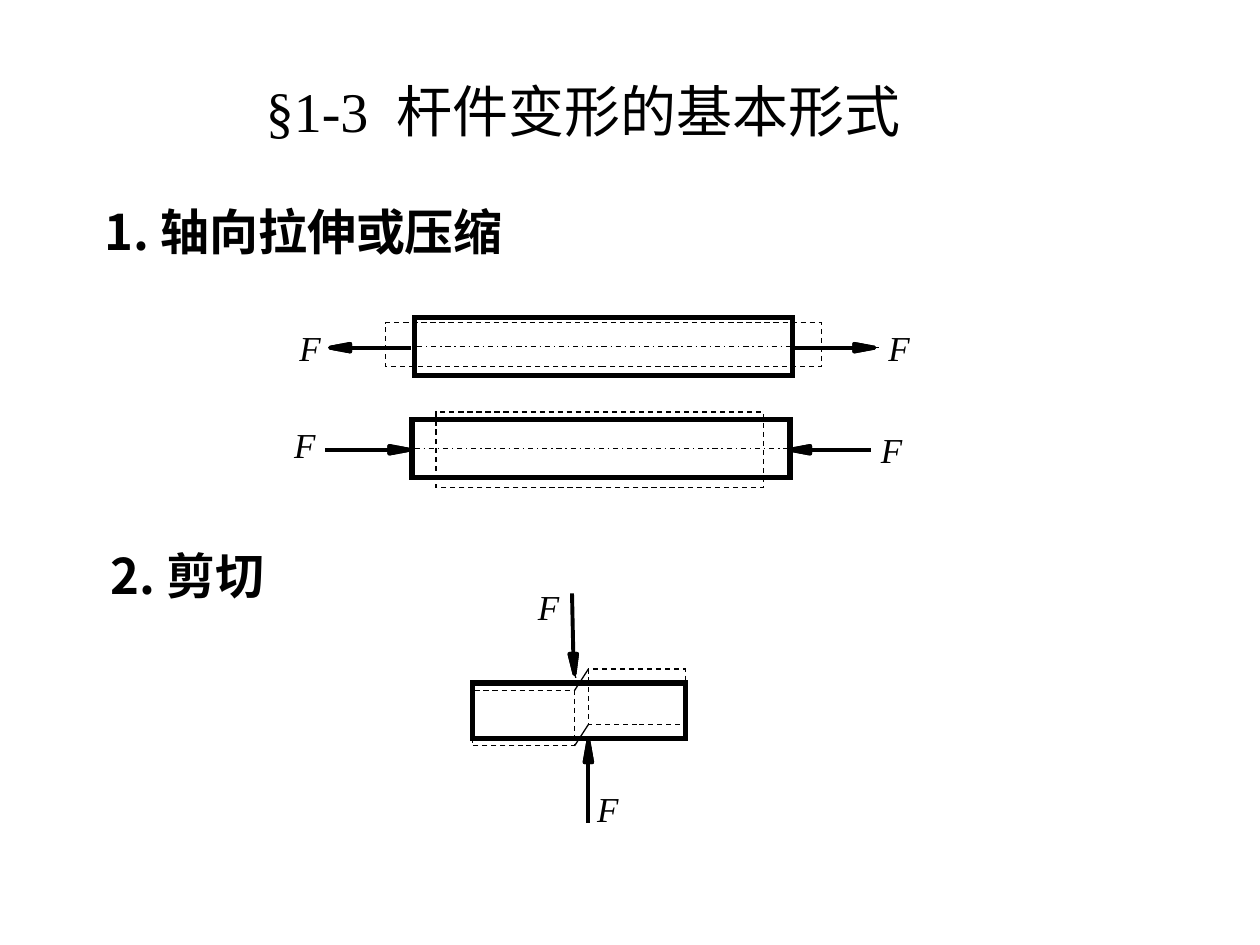
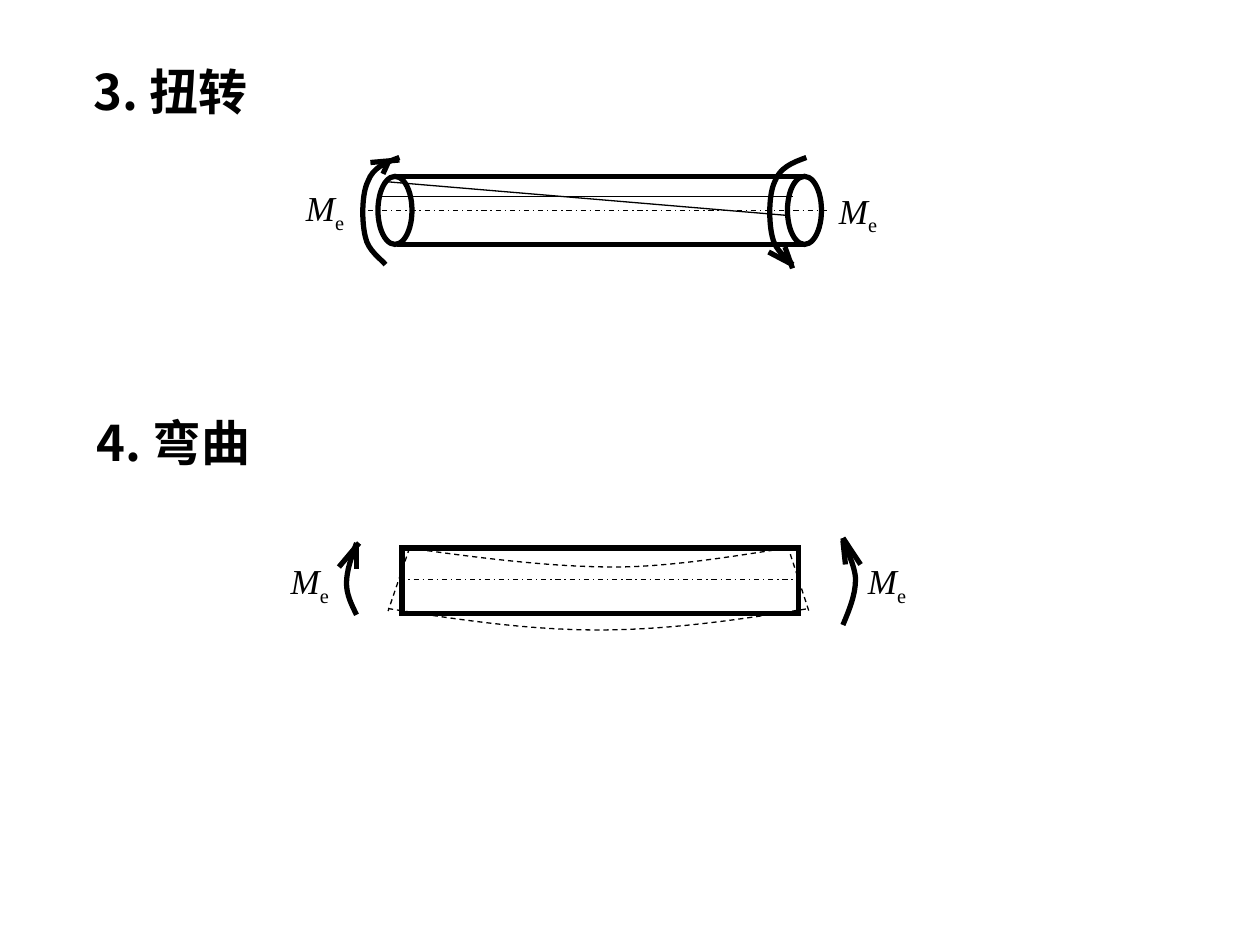
from dataclasses import dataclass

import pptx
import pptx.dml.color
import pptx.dml.line
import pptx.enum.dml
import pptx.enum.shapes
import pptx.enum.text
import pptx.oxml
import pptx.oxml.ns
import pptx.shapes.autoshape
import pptx.slide
import pptx.text.text
import pptx.util
from pptx.util import Inches

INK = "000000"
PAPER = "FFFFFF"
LATIN = "Times New Roman"
HAN = "Noto Sans CJK SC"
RECT = pptx.enum.shapes.MSO_SHAPE.RECTANGLE
OVAL = pptx.enum.shapes.MSO_SHAPE.OVAL
RIGHT = 3
Point = tuple[float, float]


@dataclass
class Box:
    left: float
    top: float
    width: float
    height: float


@dataclass
class Stroke:
    width: float = 0.75
    dash: pptx.enum.dml.MSO_LINE | None = None


@dataclass
class Force:
    """An arrow whose shaft runs from tail to neck and whose head ends at tip."""
    tail: Point
    neck: Point
    tip: Point


SOLID, PUSH, BOLD = Stroke(), Stroke(2.25), Stroke(3)
GHOST = Stroke(dash=pptx.enum.dml.MSO_LINE.DASH)
CENTRE = Stroke(dash=pptx.enum.dml.MSO_LINE.DASH_DOT)


def color(code: str) -> pptx.dml.color.RGBColor:
    return pptx.dml.color.RGBColor.from_string(code)


def tag(name: str, **attrs: str):
    """Make an empty DrawingML element."""
    node = pptx.oxml.parse_xml(f'<a:{name} {pptx.oxml.ns.nsdecls("a")}/>')
    for key, value in attrs.items():
        node.set(key, value)
    return node


def ink(line: pptx.dml.line.LineFormat, stroke: Stroke) -> None:
    line.color.rgb = color(INK)
    line.width = pptx.util.Pt(stroke.width)
    if stroke.dash is not None:
        line.dash_style = stroke.dash


def place(shape, box: Box) -> None:
    shape.left, shape.top = Inches(box.left), Inches(box.top)
    shape.width, shape.height = Inches(box.width), Inches(box.height)


def paint(shape, stroke: Stroke, fill: str = "") -> None:
    shape.shadow.inherit = False
    if fill:
        shape.fill.solid()
        shape.fill.fore_color.rgb = color(fill)
    else:
        shape.fill.background()
    ink(shape.line, stroke)


def write(shape, text: str, size: float, latin: str, bold: bool = False,
          center: bool = True) -> pptx.text.text._Paragraph:
    """Fill a text shape with one formatted paragraph and return it."""
    frame = shape.text_frame
    frame.word_wrap = True
    frame.auto_size = pptx.enum.text.MSO_AUTO_SIZE.NONE
    frame.vertical_anchor = pptx.enum.text.MSO_ANCHOR.MIDDLE
    frame.margin_left = frame.margin_right = Inches(0.1)
    frame.margin_top = frame.margin_bottom = Inches(0.05)
    para = frame.paragraphs[0]
    para.add_run().text = text
    align = pptx.enum.text.PP_ALIGN
    para.alignment = align.CENTER if center else align.LEFT
    font = para.font
    font.size = pptx.util.Pt(size)
    font.bold = bold
    font.color.rgb = color(INK)
    font.name = latin
    font._element.find(pptx.oxml.ns.qn("a:latin")).addnext(
        tag("ea", typeface=HAN))
    return para


def head(slide: pptx.slide.Slide, text: str, box: Box) -> None:
    shape = slide.shapes.add_textbox(0, 0, 0, 0)
    place(shape, box)
    write(shape, text, 28, HAN, bold=True)


def label(slide: pptx.slide.Slide, text: str, box: Box, sub: str = "") -> None:
    """Write an italic symbol, with an upright subscript."""
    shape = slide.shapes.add_textbox(0, 0, 0, 0)
    place(shape, box)
    para = write(shape, text, 20, LATIN)
    shape.text_frame.word_wrap = False
    para.runs[0].font.italic = True
    if sub:
        run = para.add_run()
        run.text = sub
        run.font._element.set("baseline", "-25000")


def solid(slide: pptx.slide.Slide, box: Box, stroke: Stroke, kind=RECT,
          fill: str = "") -> pptx.shapes.autoshape.Shape:
    shape = slide.shapes.add_shape(kind, 0, 0, 0, 0)
    place(shape, box)
    paint(shape, stroke, fill)
    shape.line._get_or_add_ln().append(tag("miter", lim="800000"))
    return shape


def line(slide: pptx.slide.Slide, start: Point, end: Point, stroke: Stroke):
    ends = [Inches(v) for v in (*start, *end)]
    link = slide.shapes.add_connector(
        pptx.enum.shapes.MSO_CONNECTOR.STRAIGHT, *ends)
    ink(link.line, stroke)
    link._element.spPr.append(tag("effectLst"))
    return link


def bar(slide: pptx.slide.Slide, box: Box) -> None:
    """Draw a thick bar with its centre line."""
    body = solid(slide, box, BOLD, fill=PAPER)
    mid = box.top + box.height / 2
    link = line(slide, (box.left + 0.02, mid), (box.left + box.width, mid),
                CENTRE)
    link.end_connect(body, RIGHT)


def trace(slide: pptx.slide.Slide, dots: list[Point], close: bool = False):
    spots = [(Inches(x), Inches(y)) for x, y in dots]
    pen = slide.shapes.build_freeform(*spots[0])
    pen.add_line_segments(spots[1:], close=close)
    return pen.convert_to_shape()


def curve(slide: pptx.slide.Slide, knots: list[Point], stroke: Stroke) -> None:
    """Draw joined cubic curves; knots are end, control, control, end, ..."""
    shape = trace(slide, knots)
    paint(shape, stroke)
    legs = list(shape._element.iter(pptx.oxml.ns.qn("a:lnTo")))
    for i in range(0, len(legs), 3):
        arc = tag("cubicBezTo")
        legs[i].addprevious(arc)
        for leg in legs[i:i + 3]:
            arc.append(leg[0])
            leg.getparent().remove(leg)


def push(slide: pptx.slide.Slide, force: Force) -> None:
    """Draw a force: its shaft, then its head filled and outlined."""
    line(slide, force.neck, force.tail, PUSH)
    (x, y), (tx, ty) = force.neck, force.tip
    flat = abs(tx - x) > abs(ty - y)
    dx, dy = (0, 0.03) if flat else (0.03, 0)
    wing = (x - dx, y - dy)
    for close in (True, False):
        dots = [wing, (x + dx, y + dy), force.tip, wing]
        paint(trace(slide, dots, close), PUSH, INK)


def stretch(slide: pptx.slide.Slide) -> None:
    bar(slide, Box(3.29, 2.52, 3, 0.46))
    label(slide, "F", Box(2.15, 2.54, 0.62, 0.44))
    push(slide, Force((3.26, 2.76), (2.78, 2.76), (2.62, 2.76)))
    push(slide, Force((6.27, 2.76), (6.78, 2.76), (6.94, 2.76)))
    label(slide, "F", Box(6.81, 2.54, 0.65, 0.44))
    for x in (6.9, 2.67):
        line(slide, (x, 2.76), (x + 0.08, 2.76), SOLID)
    solid(slide, Box(3.06, 2.56, 3.46, 0.35), GHOST)


def press(slide: pptx.slide.Slide) -> None:
    bar(slide, Box(3.27, 3.33, 3, 0.46))
    label(slide, "F", Box(2.11, 3.31, 0.62, 0.44))
    push(slide, Force((6.91, 3.57), (6.43, 3.57), (6.27, 3.57)))
    push(slide, Force((2.58, 3.57), (3.09, 3.57), (3.25, 3.57)))
    label(slide, "F", Box(6.75, 3.35, 0.65, 0.44))
    line(slide, (3.22, 3.57), (3.29, 3.57), SOLID)
    solid(slide, Box(3.46, 3.27, 2.6, 0.6), GHOST)


def shear(slide: pptx.slide.Slide) -> None:
    solid(slide, Box(3.75, 5.42, 1.69, 0.44), BOLD)
    solid(slide, Box(3.75, 5.48, 0.81, 0.44), GHOST)
    solid(slide, Box(4.67, 5.31, 0.77, 0.44), GHOST)
    for drop in (0, 0.44):
        line(slide, (4.56, 5.48 + drop), (4.67, 5.31 + drop), SOLID)
    push(slide, Force((4.54, 4.71), (4.55, 5.19), (4.56, 5.35)))
    line(slide, (4.56, 5.34), (4.57, 5.38), SOLID)
    push(slide, Force((4.67, 6.53), (4.67, 6.05), (4.67, 5.88)))
    line(slide, (4.66, 5.9), (4.66, 5.85), SOLID)
    label(slide, "F", Box(4.17, 4.59, 0.37, 0.44))
    label(slide, "F", Box(4.64, 6.2, 0.37, 0.44))


def barbs(slide: pptx.slide.Slide, *pairs: tuple[Point, Point]) -> None:
    for start, end in pairs:
        line(slide, start, end, BOLD)


def twist(slide: pptx.slide.Slide) -> None:
    for x in (6.25, 3):
        solid(slide, Box(x, 1.4, 0.27, 0.54), BOLD, OVAL)
    line(slide, (3.13, 1.4), (6.38, 1.4), BOLD)
    line(slide, (3.15, 1.94), (6.4, 1.94), BOLD)
    line(slide, (2.92, 1.67), (6.56, 1.67), CENTRE)
    turn = [(6.4, 1.25), (6.29, 1.29), (6.19, 1.33), (6.15, 1.44),
            (6.1, 1.54), (6.1, 1.76), (6.13, 1.88),
            (6.15, 1.99), (6.26, 2.06), (6.29, 2.1)]
    for shift in (0, -3.23):
        curve(slide, [(x + shift, y) for x, y in turn], BOLD)
    barbs(slide, ((6.1, 2), (6.29, 2.1)), ((6.23, 1.96), (6.29, 2.13)),
          ((2.94, 1.29), (3.17, 1.27)), ((3.04, 1.38), (3.08, 1.29)))
    line(slide, (3, 1.56), (6.29, 1.56), SOLID)
    line(slide, (3.04, 1.44), (6.25, 1.71), SOLID)
    label(slide, "M", Box(2.33, 1.43, 0.5, 0.48), "e")
    label(slide, "M", Box(6.56, 1.45, 0.5, 0.48), "e")


def bend(slide: pptx.slide.Slide) -> None:
    solid(slide, Box(3.19, 4.35, 3.15, 0.52), BOLD)
    line(slide, (3.17, 4.6), (6.31, 4.6), CENTRE)
    curve(slide, [(3.25, 4.35), (3.81, 4.43), (4.38, 4.5), (4.88, 4.5),
                  (5.38, 4.5), (6.02, 4.38), (6.25, 4.35)], GHOST)
    curve(slide, [(3.08, 4.83), (3.64, 4.92), (4.19, 5), (4.75, 5),
                  (5.31, 5), (5.86, 4.92), (6.42, 4.83)], GHOST)
    line(slide, (3.25, 4.35), (3.08, 4.85), GHOST)
    line(slide, (6.25, 4.33), (6.42, 4.85), GHOST)
    curve(slide, [(2.83, 4.88), (2.79, 4.8), (2.75, 4.72), (2.75, 4.63),
                  (2.75, 4.53), (2.79, 4.42), (2.83, 4.31)], BOLD)
    curve(slide, [(6.69, 4.96), (6.74, 4.84), (6.79, 4.72), (6.79, 4.6),
                  (6.79, 4.49), (6.7, 4.33), (6.69, 4.27)], BOLD)
    barbs(slide, ((2.85, 4.31), (2.69, 4.5)), ((2.83, 4.31), (2.83, 4.52)),
          ((6.69, 4.29), (6.71, 4.48)), ((6.69, 4.27), (6.83, 4.48)))
    for x in (2.21, 6.79):
        label(slide, "M", Box(x, 4.39, 0.5, 0.48), "e")


def main() -> None:
    deck = pptx.Presentation()
    deck.slide_width, deck.slide_height = Inches(10), Inches(7.5)
    plain = deck.slide_layouts[5]

    first = deck.slides.add_slide(plain)
    place(first.shapes.title, Box(2.01, 0.55, 5.85, 0.64))
    write(first.shapes.title, "§1-3  杆件变形的基本形式", 32, LATIN,
          center=False)
    head(first, "1. 轴向拉伸或压缩", Box(0.4, 1.55, 4.02, 0.57))
    stretch(first)
    press(first)
    head(first, "2. 剪切", Box(0.44, 4.28, 2.09, 0.57))
    shear(first)

    second = deck.slides.add_slide(plain)
    place(second.shapes.title, Box(0.47, 0.44, 1.77, 0.57))
    write(second.shapes.title, "3. 扭转", 28, HAN, bold=True)
    twist(second)
    head(second, "4. 弯曲", Box(0.49, 3.22, 1.77, 0.57))
    bend(second)

    deck.save("out.pptx")


if __name__ == "__main__":
    main()
